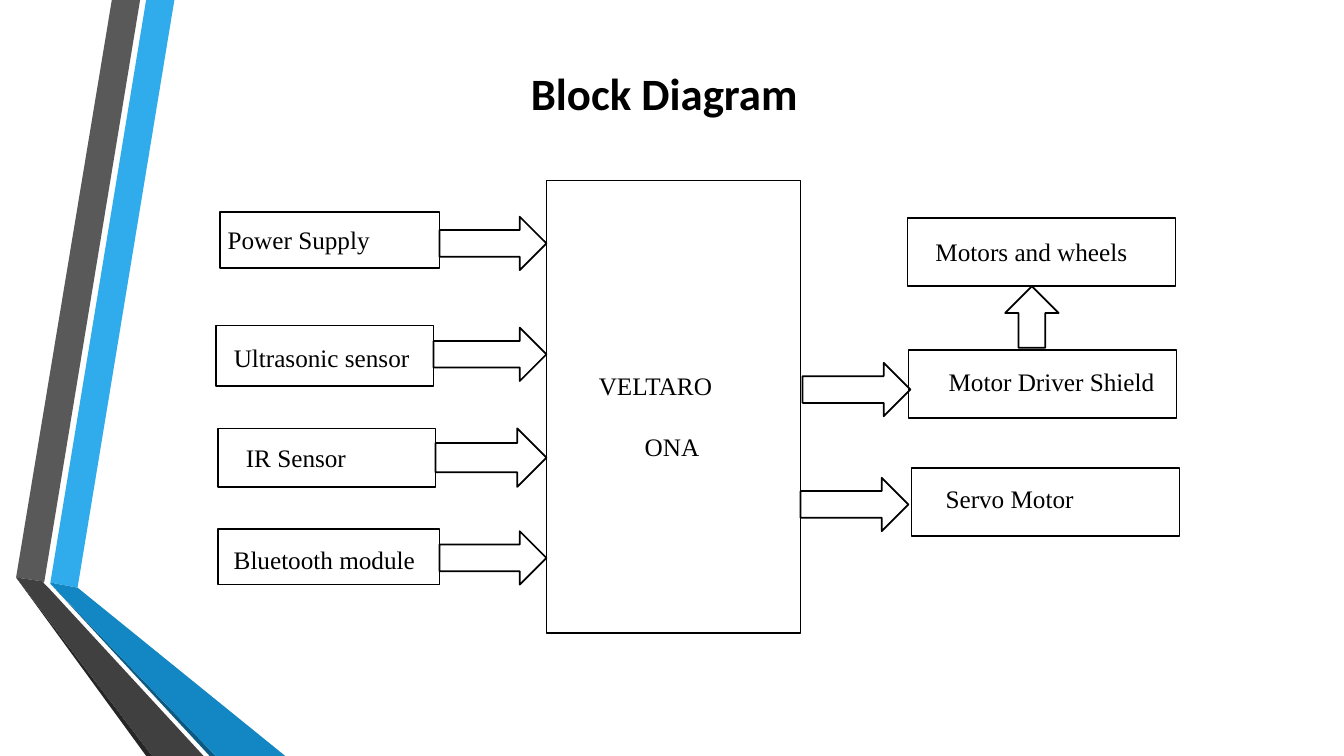
from pptx import Presentation
from pptx.dml.color import RGBColor
from pptx.enum.shapes import MSO_SHAPE as Kind
from pptx.enum.text import PP_ALIGN as Align
from pptx.util import Inches, Pt

# Grid cells are a tenth of an inch: 133.3 columns by 75 rows.
COLS, ROWS = 133.3, 75
INK = {
    "black": "000000", "blue": "30ACEC", "deep": "1287C3", "navy": "0C5A82",
    "grey": "595959", "dark": "404040", "shade": "262626",
}
BODY = {"name": "Times New Roman", "size": Pt(18), "bold": False}
HEAD = {"name": "Calibri", "size": Pt(32), "bold": True}

# Colour and corners of each part of the side ribbon
BANDS = [
    ("blue", [(5, 57.8), (7.7, 58.3), (17.3, 0), (14.5, 0)]),
    ("grey", [(13.9, 0), (11.1, 0), (1.6, 57.3), (4.4, 57.7)]),
    ("shade", [(1.6, 57.3), (14.5, 75), (15.1, 75)]),
    ("navy", [(5, 57.9), (20.8, 75), (21.4, 75)]),
    ("deep", [(5, 57.9), (21.4, 75), (28.3, 75), (7.7, 58.3), (5, 57.8)]),
    ("dark", [(20.2, 75), (4.8, 58.3), (4.3, 57.8), (4.4, 57.7),
              (1.6, 57.3), (15.1, 75)]),
]
HUB = (54.2, 17.9, 25.2, 44.9)
# Text, block, label offset, arrow top and arrow height
INPUTS = [
    ("Power Supply", (21.8, 21, 21.8, 5.6), (-0.2, 0.8), 21.5, 5.3),
    ("Ultrasonic sensor", (21.4, 32.3, 21.6, 6), (0.8, 1.2), 32.5, 5.3),
    ("IR Sensor", (21.6, 42.5, 21.6, 5.8), (1.8, 0.9), 42.5, 5.8),
    ("Bluetooth module", (21.6, 52.5, 22, 5.5), (0.6, 1), 52.7, 5.3),
]
# Text, block, label offset, arrow left and top (None: fed from below)
OUTPUTS = [
    ("Motors and wheels", (90, 21.6, 26.6, 6.8), (1.8, 1.3), None),
    ("Motor Driver Shield", (90.1, 34.7, 26.6, 6.8), (3, 1.1), (79.6, 36)),
    ("Servo Motor", (90.4, 46.4, 26.6, 6.8), (2.4, 1.1), (79.4, 47.4)),
]


def cells(*nums):
    return [Inches(num / 10) for num in nums]


def color(name):
    return RGBColor.from_string(INK[name])


def outline(slide, kind, box):
    shape = slide.shapes.add_shape(kind, *cells(*box))
    shape.shadow.inherit = False
    shape.fill.background()
    shape.line.color.rgb = color("black")
    shape.line.width = Pt(1.25)


def label(slide, box, lines, style, gap=0):
    """Write lines of (text, alignment), with gap points between them."""
    frame = slide.shapes.add_textbox(*cells(*box)).text_frame
    frame.word_wrap = True
    for num, (text, align) in enumerate(lines):
        para = frame.add_paragraph() if num else frame.paragraphs[0]
        para.alignment = align
        para.space_before = Pt(gap if num else 0)
        run = para.add_run()
        run.text = text
        for key, value in style.items():
            setattr(run.font, key, value)
        run.font.color.rgb = color("black")


def ribbon(slide, box):
    left, top = box[:2]
    group = slide.shapes.add_group_shape()
    for name, points in BANDS:
        first, *rest = [cells(left + x, top + y) for x, y in points]
        path = group.shapes.build_freeform(*first, scale=1.0)
        path.add_line_segments(rest, close=True)
        band = path.convert_to_shape()
        band.shadow.inherit = False
        band.fill.solid()
        band.fill.fore_color.rgb = color(name)
        band.line.fill.background()


def block(slide, box, text, shift):
    left, top, wide, _ = box
    dx, dy = shift
    outline(slide, Kind.RECTANGLE, box)
    label(slide, (left + dx, top + dy, wide - dx + 1, 3.9),
          [(text, Align.LEFT)], BODY)


def hub(slide, box):
    left, top, _, _ = box
    outline(slide, Kind.RECTANGLE, box)
    label(slide, (left + 4.2, top + 18.3, 16.5, 9.9),
          [("VELTARO", Align.LEFT), ("ONA", Align.CENTER)], BODY, 22)


def inputs(slide, box):
    """Stack the blocks that feed the left side of the hub's box."""
    for text, part, shift, top, high in INPUTS:
        block(slide, part, text, shift)
        left = part[0] + part[2]
        outline(slide, Kind.RIGHT_ARROW, (left, top, box[0] - left, high))


def outputs(slide):
    for text, part, shift, arrow in OUTPUTS:
        block(slide, part, text, shift)
        if arrow:
            outline(slide, Kind.RIGHT_ARROW, (*arrow, 10.7, 5.3))
        else:
            left, top, _, high = part
            outline(slide, Kind.UP_ARROW, (left + 9.7, top + high, 5.3, 6.1))


def main():
    deck = Presentation()
    deck.slide_width, deck.slide_height = cells(COLS, ROWS)
    slide = deck.slides.add_slide(deck.slide_layouts[6])
    ribbon(slide, (0, 0, 28.3, ROWS))
    label(slide, (46.7, 6, 38.4, 6.4), [("Block Diagram", Align.CENTER)], HEAD)
    hub(slide, HUB)
    inputs(slide, HUB)
    outputs(slide)
    deck.save("out.pptx")


if __name__ == "__main__":
    main()
